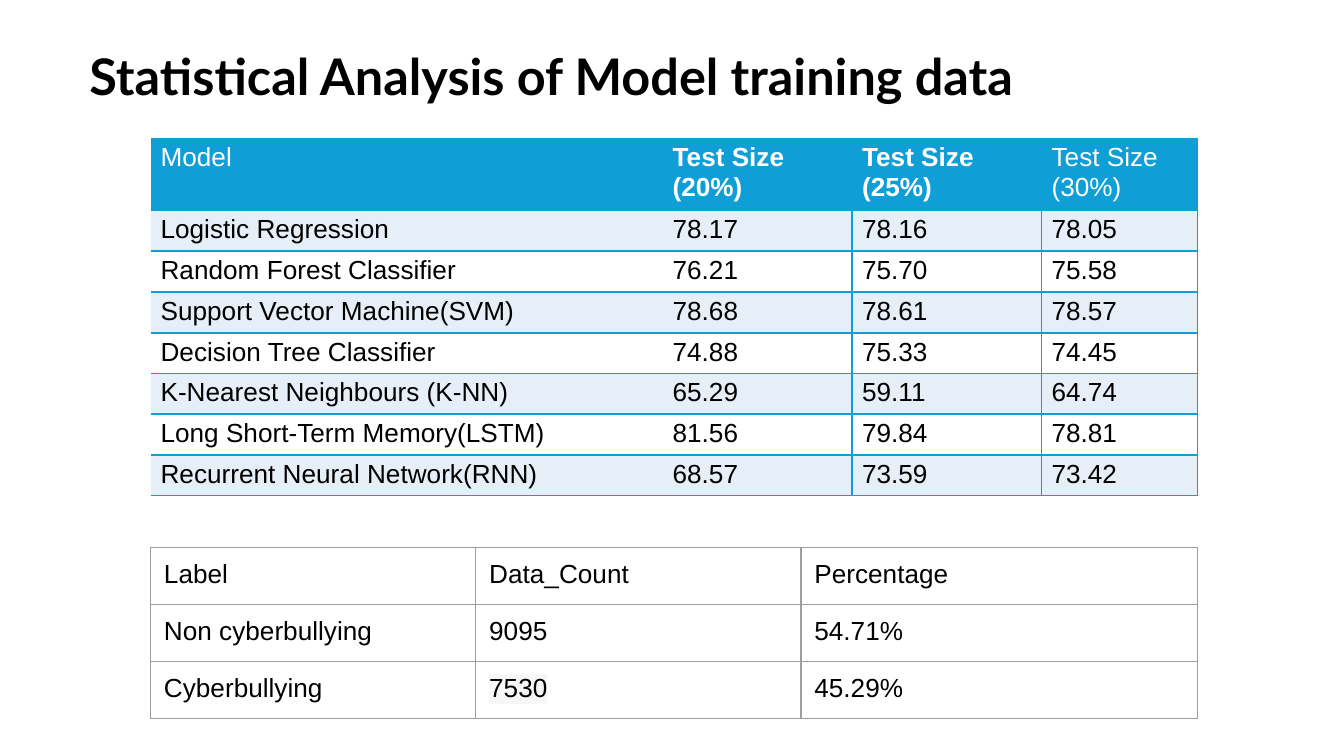
"""Builds a slide with model scores and the label counts of the training data."""
from lxml.etree import SubElement
from pptx import Presentation
from pptx.dml.color import RGBColor
from pptx.enum.text import MSO_ANCHOR
from pptx.oxml.ns import qn
from pptx.util import Inches, Pt

hue = RGBColor.from_string
deck = Presentation()
deck.slide_width = Inches(10)
deck.slide_height = deck.slide_width * 9 // 16
col, row = deck.slide_width / 100, deck.slide_height / 100
slide = deck.slides.add_slide(deck.slide_layouts[6])


def put(frame, text, size=14, face="Arial", color="000000", bold=False, mark=None, space=1.0):
    frame.word_wrap = True
    for i, line in enumerate(text.split("\n")):
        para = frame.add_paragraph() if i else frame.paragraphs[0]
        para.line_spacing = space
        run = para.add_run()
        run.text = line
        font = run.font
        font.size, font.bold = Pt(size), bold
        font.color.rgb = hue(color)
        if mark:
            glow = SubElement(font._element, qn("a:highlight"))
            SubElement(glow, qn("a:srgbClr"), val=mark)
        font.name = face


def grid(top, wide, high, side, edge, line, weight, open_gap=None):
    table = slide.shapes.add_table(
        len(high), len(wide), int(11.2 * col), int(top * row),
        int(sum(wide) * col), int(sum(high) * row)).table
    table.first_row = table.horz_banding = False
    for part, share in zip(table.columns, wide):
        part.width = int(share * col)
    for part, share in zip(table.rows, high):
        part.height = int(share * row)
    for i, cell in enumerate(table.iter_cells()):
        spot = i % len(wide)
        cell.margin_left = cell.margin_right = int(side * col)
        cell.margin_top = cell.margin_bottom = int(edge * row)
        for name in "LRTB":
            rule = SubElement(cell._tc.get_or_add_tcPr(), qn(f"a:ln{name}"), w=str(Pt(weight)))
            if (spot, name) in ((open_gap, "R"), (open_gap and open_gap + 1, "L")) or (
                    open_gap == 0 and (spot, name) == (1, "L")):
                SubElement(rule, qn("a:noFill"))
            else:
                SubElement(SubElement(rule, qn("a:solidFill")), qn("a:srgbClr"), val=line)
    return table


box = slide.shapes.add_textbox(
    int(5.9 * col), int(6.5 * row), int(86.2 * col), int(8 * row))
frame = box.text_frame
frame.vertical_anchor = MSO_ANCHOR.MIDDLE
frame.margin_left = frame.margin_right = int(0.75 * col)
frame.margin_top = frame.margin_bottom = int(0.7 * row)
put(frame, "Statistical Analysis of Model training data",
    size=27, face="Lato", bold=True, space=0.9)

scores = [
    ("Model", "Test Size\n(20%)", "Test Size\n(25%)", "Test Size\n(30%)"),
    ("Logistic Regression", "78.17", "78.16", "78.05"),
    ("Random Forest Classifier", "76.21", "75.70", "75.58"),
    ("Support Vector Machine(SVM)", "78.68", "78.61", "78.57"),
    ("Decision Tree Classifier", "74.88", "75.33", "74.45"),
    ("K-Nearest Neighbours (K-NN)", "65.29", "59.11", "64.74"),
    ("Long Short-Term Memory(LSTM)", "81.56", "79.84", "78.81"),
    ("Recurrent Neural Network(RNN)", "68.57", "73.59", "73.42"),
]
table = grid(18.3, [38.1, 14.1, 14.1, 11.6], [9.2] + [5.22] * 7,
             0.75, 0.62, "0F9ED5", 1, open_gap=0)
for r, texts in enumerate(scores):
    for c, text in enumerate(texts):
        cell = table.cell(r, c)
        cell.fill.solid()
        cell.fill.fore_color.rgb = hue(("E6EFF7" if r % 2 else "FFFFFF") if r else "0F9ED5")
        put(cell.text_frame, text, color="000000" if r else "FFFFFF",
            bold=r == 0 and c in (1, 2))

counts = [
    ("Label", "Data_Count", "Percentage"),
    ("Non cyberbullying", "9095", "54.71%"),
    ("Cyberbullying", "7530", "45.29%"),
]
table = grid(72.4, [24.2, 24.2, 29.5], [7.42] * 3, 1, 1.7, "9E9E9E", 0.75)
for r, texts in enumerate(counts):
    for c, text in enumerate(texts):
        cell = table.cell(r, c)
        cell.fill.background()
        put(cell.text_frame, text, mark="F7F7F7" if text == "7530" else None)

deck.save("out.pptx")
